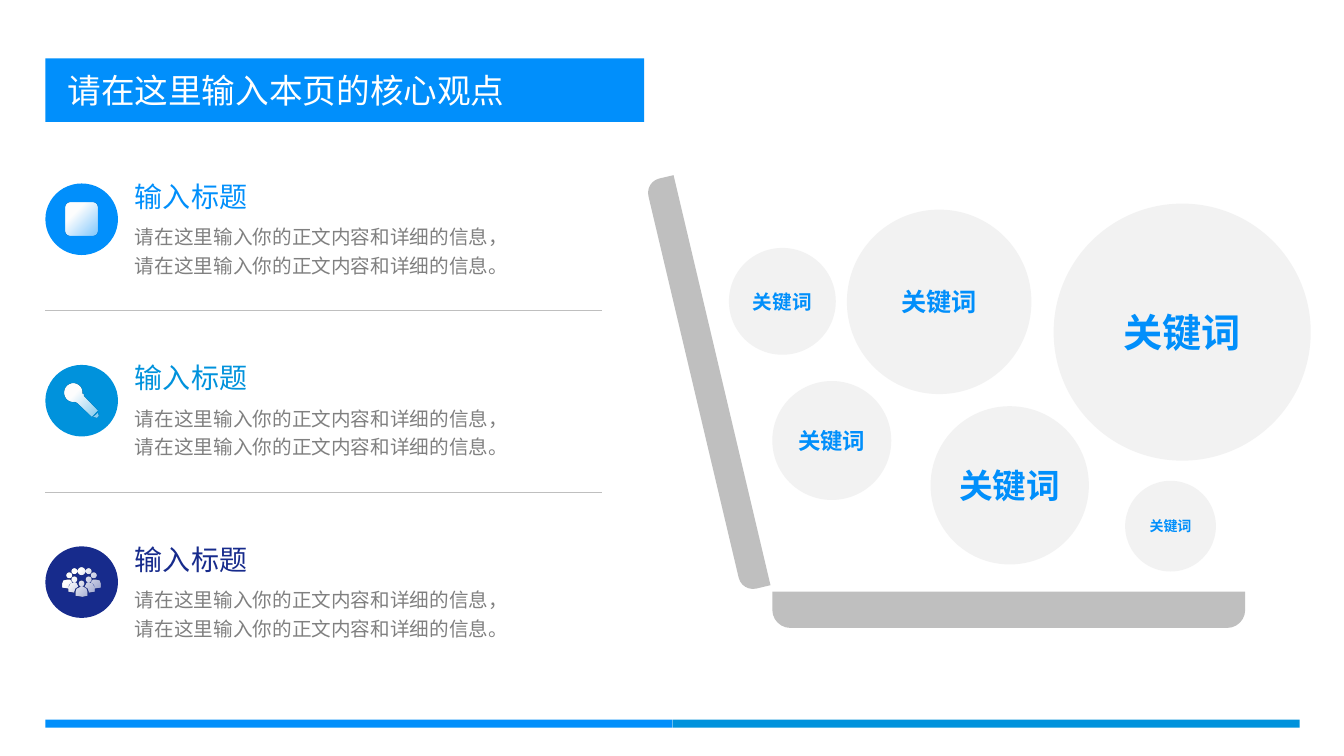
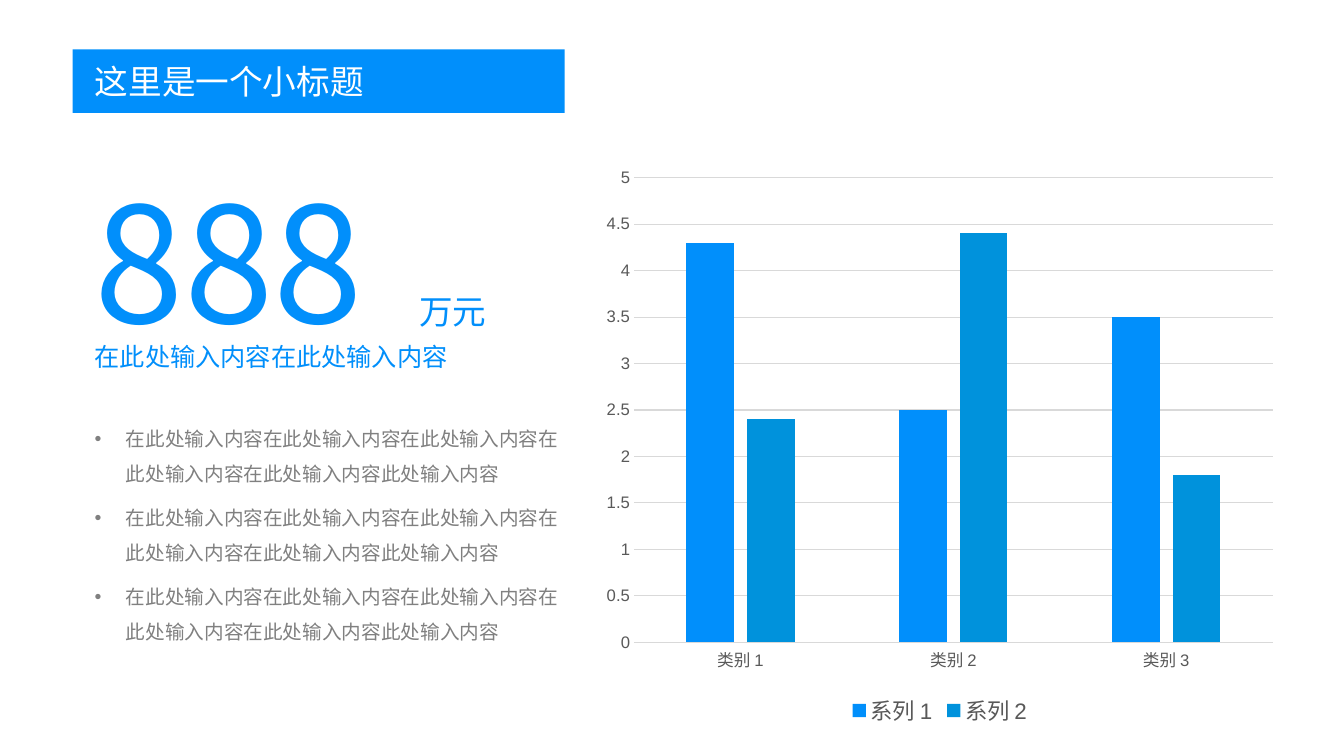
import math
from dataclasses import dataclass

from lxml import etree
from pptx import Presentation
from pptx.chart.data import CategoryChartData
from pptx.dml.color import RGBColor
from pptx.enum.chart import XL_CHART_TYPE, XL_LEGEND_POSITION, XL_TICK_MARK
from pptx.enum.shapes import MSO_CONNECTOR, MSO_SHAPE
from pptx.enum.text import MSO_ANCHOR, PP_ALIGN
from pptx.oxml.ns import qn
from pptx.util import Inches, Pt

RECT, OVAL = MSO_SHAPE.RECTANGLE, MSO_SHAPE.OVAL
ROUNDED, TWO_ROUND = MSO_SHAPE.ROUNDED_RECTANGLE, MSO_SHAPE.ROUND_2_SAME_RECTANGLE
STRAIGHT = MSO_CONNECTOR.STRAIGHT
MIDDLE, TOP = MSO_ANCHOR.MIDDLE, MSO_ANCHOR.TOP
LEFT, CENTER = PP_ALIGN.LEFT, PP_ALIGN.CENTER
COLUMNS = XL_CHART_TYPE.COLUMN_CLUSTERED
BOTTOM_LEGEND = XL_LEGEND_POSITION.BOTTOM
NO_TICK = XL_TICK_MARK.NONE


@dataclass(frozen=True)
class Theme:
    blue: str = "018FFB"
    cyan: str = "0092DC"
    navy: str = "172B8C"
    white: str = "FFFFFF"
    bubble: str = "F2F2F2"
    metal: str = "BFBFBF"
    body: str = "808080"
    grid: str = "D9D9D9"
    axis_text: str = "595959"
    font: str = "Noto Sans CJK JP"
    chart_font: str = "Arial"
    title_size: float = 24
    heading_size: float = 20
    lead_size: float = 18
    body_size: float = 14
    figure_size: float = 115
    axis_size: float = 11.9
    legend_size: float = 16


THEME = Theme()
ROW_PITCH = 1.8
BADGE = (0.72, 0.71)


# Icon outlines, in inches from the top left of a badge
def arc(x, y, radius, start=0, end=345, step=15):
    angles = [math.radians(a) for a in range(start, end + 1, step)]
    return [(x + radius * math.cos(a), y + radius * math.sin(a)) for a in angles]


def mirrored(outlines):
    return [[(BADGE[0] - x, y) for x, y in outline] for outline in outlines]


def microphone():
    handle = [(0.3, 0.37), (0.32, 0.38), (0.46, 0.51), (0.52, 0.45),
              (0.38, 0.31), (0.39, 0.3), (0.37, 0.29)]
    cap = [(0.52, 0.47), (0.53, 0.5), (0.51, 0.52), (0.47, 0.51)]
    head = arc(0.28, 0.28, 0.09, 80, 365)
    return [head + handle[::-1], cap]


def crowd():
    middle = [
        arc(0.36, 0.37, 0.03), arc(0.36, 0.25, 0.04),
        [(0.3, 0.49), (0.3, 0.45), (0.31, 0.42), (0.35, 0.4), (0.38, 0.4),
         (0.41, 0.42), (0.42, 0.45), (0.42, 0.49), (0.37, 0.5)],
    ]
    right = [
        arc(0.43, 0.33, 0.03), arc(0.48, 0.29, 0.03), arc(0.43, 0.25, 0.03),
        [(0.41, 0.36), (0.44, 0.36), (0.47, 0.37), (0.49, 0.41), (0.49, 0.45),
         (0.43, 0.46), (0.43, 0.45), (0.42, 0.42), (0.39, 0.4)],
        [(0.47, 0.33), (0.5, 0.33), (0.54, 0.34), (0.55, 0.37), (0.55, 0.41),
         (0.49, 0.42), (0.49, 0.41), (0.48, 0.38), (0.45, 0.36)],
    ]
    return middle + right + mirrored(right)


# Basic elements
def apply_format(target, values):
    for name, value in values.items():
        setattr(target, name, value)


def style_font(font, size, color, name, bold=False):
    apply_format(font, {"size": Pt(size), "bold": bold, "name": name})
    font.color.rgb = RGBColor.from_string(color)


def write(frame, paragraphs, size, color, bold=False, align=LEFT, anchor=TOP,
          insets=(0.1, 0.05, 0.1, 0.05), spacing=None, bullet=None, gap=0):
    sides = ("margin_left", "margin_top", "margin_right", "margin_bottom")
    apply_format(frame, {side: Inches(i) for side, i in zip(sides, insets)})
    apply_format(frame, {"word_wrap": True, "vertical_anchor": anchor})
    for index, text in enumerate(paragraphs):
        paragraph = frame.paragraphs[0] if index == 0 else frame.add_paragraph()
        paragraph.alignment = align
        if spacing:
            paragraph.line_spacing = spacing
        if gap and index:
            paragraph.space_before = Pt(gap)
        if bullet:
            props = paragraph._p.get_or_add_pPr()
            indent = Inches(0.31)
            props.set("marL", str(indent))
            props.set("indent", str(-indent))
            etree.SubElement(props, qn("a:buFont"), typeface="Arial")
            etree.SubElement(props, qn("a:buChar"), char=bullet)
        run = paragraph.add_run()
        run.text = text
        style_font(run.font, size, color, THEME.font, bold)
        etree.SubElement(run._r.get_or_add_rPr(), qn("a:ea"), typeface=THEME.font)


def add_block(slide, kind, box, color):
    block = slide.shapes.add_shape(kind, *map(Inches, box))
    block.shadow.inherit = False
    block.fill.solid()
    block.fill.fore_color.rgb = RGBColor.from_string(color)
    block.line.fill.background()
    return block


def add_text(slide, box, paragraphs, size, color, **options):
    label = slide.shapes.add_textbox(*map(Inches, box))
    write(label.text_frame, paragraphs, size, color, **options)


def add_rule(slide, left, right, y):
    rule = slide.shapes.add_connector(STRAIGHT, *map(Inches, (left, y, right, y)))
    rule.line.color.rgb = RGBColor.from_string(THEME.metal)
    rule.line.width = Pt(0.25)
    etree.SubElement(rule._element.spPr, qn("a:effectLst"))


def add_banner(slide, box, title):
    banner = add_block(slide, RECT, box, THEME.blue)
    write(banner.text_frame, [title], THEME.title_size, THEME.white,
          anchor=MIDDLE, insets=(0.22, 0, 0.1, 0))


def fade(icon):
    icon.shadow.inherit = False
    icon.line.fill.background()
    icon.fill.gradient()
    icon.fill.gradient_angle = 315
    for stop, position in zip(icon.fill.gradient_stops, (0.3, 1)):
        stop.color.rgb = RGBColor.from_string(THEME.white)
        stop.position = position
    last_color = list(icon._element.spPr.iter(qn("a:srgbClr")))[-1]
    etree.SubElement(last_color, qn("a:alpha"), val="50000")


def add_icon(slide, left, top, outlines):
    placed = [[(Inches(left + x), Inches(top + y)) for x, y in outline]
              for outline in outlines]
    builder = slide.shapes.build_freeform(*placed[0][0])
    for index, outline in enumerate(placed):
        if index:
            builder.move_to(*outline[0])
        builder.add_line_segments(outline[1:], close=True)
    fade(builder.convert_to_shape())


# Parts of the keyword slide
def add_topic(slide, top, color, outlines):
    left, badge_top = 0.45, top + 0.09
    add_block(slide, OVAL, (left, badge_top, *BADGE), color)
    if outlines:
        add_icon(slide, left, badge_top, outlines)
    else:
        fade(add_block(slide, ROUNDED, (left + 0.2, badge_top + 0.19, 0.32, 0.33),
                       THEME.white))
    add_text(slide, (1.24, top, 1.6, 0.44), ["输入标题"], THEME.heading_size, color)
    add_text(slide, (1.24, top + 0.41, 4.02, 0.66),
             ["请在这里输入你的正文内容和详细的信息，请在这里输入你的正文内容和详细的信息。"],
             THEME.body_size, THEME.body, spacing=1.2)


def add_laptop(slide):
    for box, angle in (((7.66, 5.87, 4.69, 0.36), 0), ((4.93, 3.66, 4.18, 0.29), 76.7)):
        panel = add_block(slide, TWO_ROUND, box, THEME.metal)
        panel.adjustments[0], panel.adjustments[1] = 0, 0.5
        panel.rotation = angle


def add_keyword(slide, left, top, diameter, size):
    bubble = add_block(slide, OVAL, (left, top, diameter, diameter), THEME.bubble)
    write(bubble.text_frame, ["关键词"], size, THEME.blue, bold=True,
          align=CENTER, anchor=MIDDLE, insets=(0, 0, 0, 0))


def build_keywords(slide):
    add_laptop(slide)
    for keyword in ((7.66, 3.78, 1.18, 16), (9.23, 4.03, 1.57, 24),
                    (8.4, 2.08, 1.83, 18), (10.45, 2.02, 2.55, 28),
                    (11.16, 4.77, 0.9, 10), (7.23, 2.46, 1.06, 14)):
        add_keyword(slide, *keyword)

    topics = ((THEME.blue, None), (THEME.cyan, microphone()), (THEME.navy, crowd()))
    for row, (color, outlines) in enumerate(topics):
        add_topic(slide, 1.73 + row * ROW_PITCH, color, outlines)
        if row:
            add_rule(slide, 0.45, 5.97, 3.08 + (row - 1) * ROW_PITCH)

    add_banner(slide, (0.45, 0.58, 5.94, 0.63), "请在这里输入本页的核心观点")
    # Two-colour foot band
    for half, color in enumerate((THEME.blue, THEME.cyan)):
        add_block(slide, RECT, (0.45 + half * 6.22, 7.14, 6.22, 0.08), color)


# Parts of the figures slide
def add_column_chart(slide, box, categories, series):
    data = CategoryChartData()
    data.categories = categories
    for name, values, _ in series:
        data.add_series(name, values)
    chart = slide.shapes.add_chart(COLUMNS, *map(Inches, box), data).chart
    apply_format(chart, {"has_title": False, "has_legend": True})
    style_font(chart.font, THEME.axis_size, THEME.axis_text, THEME.chart_font)
    apply_format(chart.legend, {"position": BOTTOM_LEGEND, "include_in_layout": False})
    style_font(chart.legend.font, THEME.legend_size, THEME.axis_text, THEME.chart_font)

    plot = chart.plots[0]
    apply_format(plot, {"gap_width": 219, "overlap": -27, "vary_by_categories": False})
    for columns, (_, _, color) in zip(plot.series, series):
        columns.format.fill.solid()
        columns.format.fill.fore_color.rgb = RGBColor.from_string(color)

    values, names = chart.value_axis, chart.category_axis
    for axis in (values, names):
        apply_format(axis, {"major_tick_mark": NO_TICK, "minor_tick_mark": NO_TICK})
        style_font(axis.tick_labels.font, THEME.axis_size, THEME.axis_text,
                   THEME.chart_font)
    apply_format(values, {"minimum_scale": 0, "maximum_scale": 5, "major_unit": 0.5})
    values.format.line.fill.background()
    for line in (values.major_gridlines.format.line, names.format.line):
        line.color.rgb = RGBColor.from_string(THEME.grid)
        line.width = Pt(0.75)


def build_figures(slide):
    add_banner(slide, (0.72, 0.49, 4.88, 0.63), "这里是一个小标题")
    add_text(slide, (0.84, 1.56, 3.81, 2.04), ["888"], THEME.figure_size, THEME.blue)
    add_text(slide, (4.06, 2.84, 1.65, 0.5), ["万元"], THEME.title_size, THEME.blue)
    add_text(slide, (0.84, 3.34, 4.88, 0.4), ["在此处输入内容在此处输入内容"],
             THEME.lead_size, THEME.blue)
    point = "在此处输入内容" * 5 + "此处输入内容"
    add_text(slide, (0.84, 4.07, 4.88, 2.36), [point] * 3, THEME.body_size, THEME.body,
             spacing=1.5, bullet="•", gap=6)
    add_column_chart(slide, (5.88, 1.56, 6.88, 5.69), ("类别 1", "类别 2", "类别 3"),
                     (("系列 1", (4.3, 2.5, 3.5), THEME.blue),
                      ("系列 2", (2.4, 4.4, 1.8), THEME.cyan)))


def main():
    deck = Presentation()
    apply_format(deck, {"slide_width": Inches(13.33), "slide_height": Inches(7.5)})
    blank = deck.slide_layouts[6]
    for build in (build_keywords, build_figures):
        build(deck.slides.add_slide(blank))
    deck.save("out.pptx")


if __name__ == "__main__":
    main()
